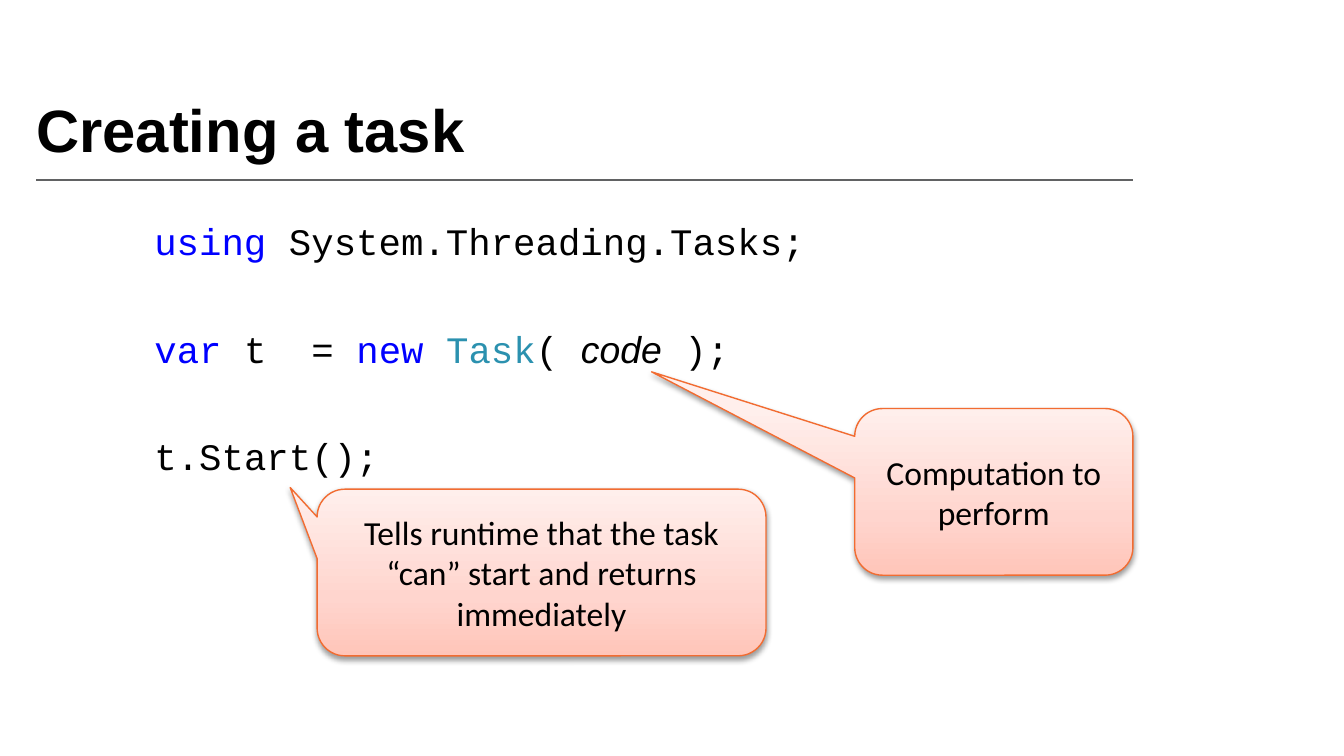
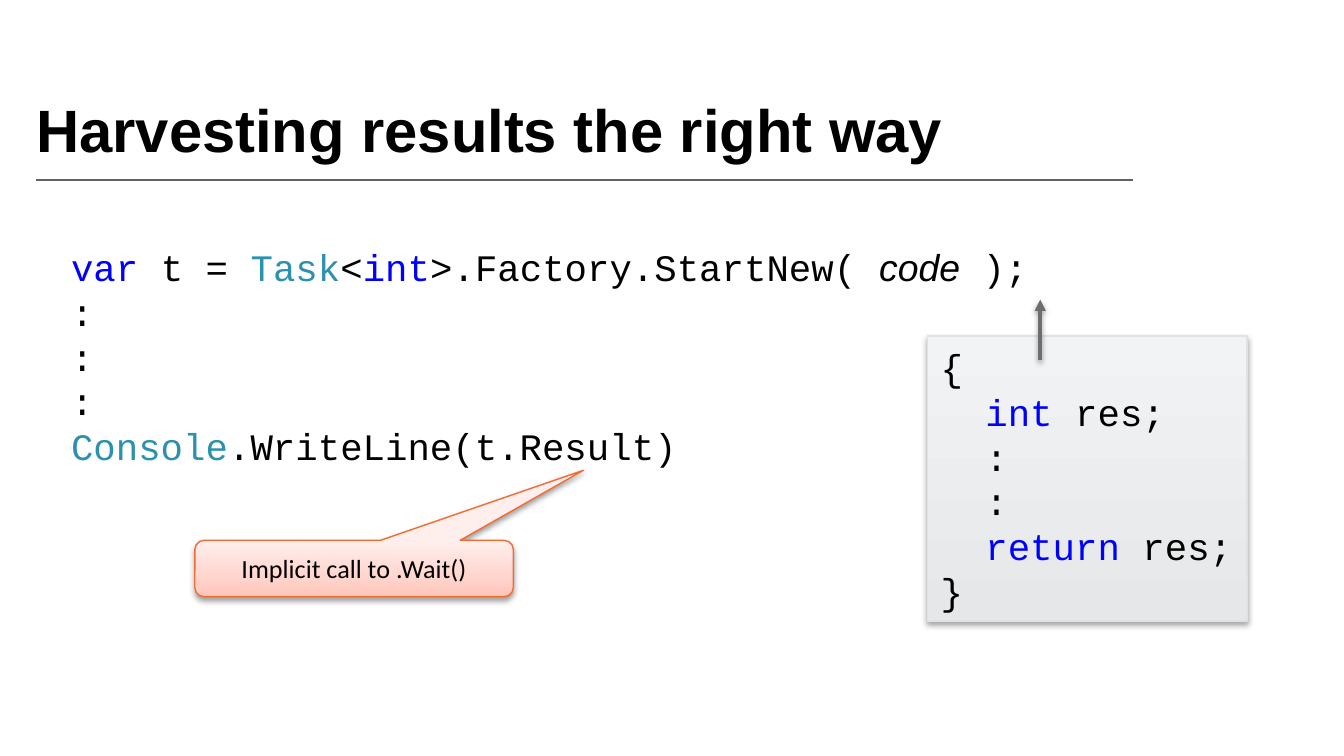
from lxml import etree
from pptx import Presentation
from pptx import util as u
from pptx.dml.color import RGBColor
from pptx.enum import shapes, text
from pptx.oxml import ns

COLORS = {
    "text": "000000", "keyword": "0000FF", "type": "2B91AF", "paper": "FFFFFF",
    "rule": "616263", "arrow": "6D6E71", "callout edge": "F26C31", "body edge": "E1E2E3",
}
CALLOUT_STOPS = [(0, "FFC5B9"), (35, "FFD5CE"), (100, "FFEFEC")]
BODY_STOPS = [(0, "E6E7E8"), (100, "F2F3F5")]
RGB = {name: RGBColor.from_string(value) for name, value in COLORS.items()}

# Run styles: font, colour, italic
STYLES = {
    "plain": ("Courier New", "text", False),
    "keyword": ("Courier New", "keyword", False),
    "type": ("Courier New", "type", False),
    "param": ("Arial", "text", True),
    "note": ("Calibri", "text", False),
}

deck = Presentation()
deck.slide_width, deck.slide_height = u.Inches(10), u.Inches(5.625)
CELL = deck.slide_width / 100  # the slide is a grid of 100 columns of square cells


def write(shape, lines, size, align=text.PP_ALIGN.LEFT):
    """Fill a shape with lines, each an indent in characters and its runs."""
    frame = shape.text_frame
    frame.word_wrap = True
    frame.vertical_anchor = text.MSO_ANCHOR.MIDDLE
    for number, (indent, *runs) in enumerate(lines):
        paragraph = frame.paragraphs[0] if number == 0 else frame.add_paragraph()
        paragraph.alignment = align
        if indent:
            paragraph._p.get_or_add_pPr().set("marL", str(u.Pt(indent * size * 0.6)))
        for words, style in runs:
            run = paragraph.add_run()
            run.text = words
            font_name, color, italic = STYLES[style]
            run.font.name, run.font.size = font_name, u.Pt(size)
            run.font.italic = italic
            run.font.color.rgb = RGB[color]


def finish(shape, edge, width, opacity=0, distance=1.6, stops=()):
    """Set the outline, the soft shadow below and the upward gradient."""
    shape.line.color.rgb, shape.line.width = RGB[edge], u.Pt(width)
    if stops:
        shape.fill.gradient()
        shape.fill.gradient_angle = 90
        stop_list = shape._element.spPr.find(".//" + ns.qn("a:gsLst"))
        for old_stop in list(stop_list):
            stop_list.remove(old_stop)
        for position, color in stops:
            stop = etree.SubElement(stop_list, ns.qn("a:gs"), pos=str(position * 1000))
            etree.SubElement(stop, ns.qn("a:srgbClr"), val=color)
    effects = etree.SubElement(shape._element.spPr, ns.qn("a:effectLst"))
    if opacity:
        shadow = etree.SubElement(
            effects, ns.qn("a:outerShdw"), blurRad=str(u.Pt(3.1)), dist=str(u.Pt(distance)),
            dir="5400000", rotWithShape="0")
        black = etree.SubElement(shadow, ns.qn("a:srgbClr"), val=COLORS["text"])
        etree.SubElement(black, ns.qn("a:alpha"), val=str(opacity * 1000))


# Content: areas are left, top, width, height in grid cells
LESSONS = [
    {
        "title": "Creating a task", "title width": 81.7,
        "code": [
            ((10.5, 15.7, 67.6, 4.4),
             [(0, ("using ", "keyword"), ("System.Threading.Tasks;", "plain"))]),
            ((10.5, 23.7, 69.5, 4.4),
             [(0, ("var", "keyword"), (" t  = ", "plain"), ("new ", "keyword"),
               ("Task", "type"), ("( ", "plain"), ("code", "param"), (" );", "plain"))]),
            ((10.5, 31.7, 69.5, 4.4), [(0, ("t.Start();", "plain"))]),
        ],
        "callouts": [
            ((63.6, 30.4, 20.7, 12.4), (-1.23, -0.72), 18, "Computation to perform"),
            ((23.6, 36.4, 33.4, 12.4), (-0.56, -0.51), 18,
             "Tells runtime that the task “can” start and returns immediately"),
        ],
    },
    {
        "title": "Harvesting results the right way", "title width": 91,
        "code": [
            ((4.3, 17.6, 88.5, 17.8),
             [(0, ("var", "keyword"), (" t = ", "plain"), ("Task", "type"), ("<", "plain"),
               ("int", "keyword"), (">.Factory.StartNew( ", "plain"), ("code", "param"),
               (" );", "plain")),
              *[(0, (":", "plain"))] * 3,
              (0, ("Console", "type"), (".WriteLine(t.Result)", "plain"))]),
        ],
        "task body": ((69, 25, 23.8, 21.2),
                      [(0, ("{", "plain")),
                       (2, ("int", "keyword"), (" res;", "plain")),
                       *[(2, (":", "plain"))] * 2,
                       (2, ("return", "keyword"), (" res;", "plain")),
                       (0, ("}", "plain"))]),
        "body arrow": (77.4, 26.8, 77.4, 22.3),
        "callouts": [((14.5, 40.2, 23.7, 4.2), (0.72, -1.74), 14, "Implicit call to .Wait()")],
    },
]

for lesson in LESSONS:
    slide = deck.slides.add_slide(deck.slide_layouts[5])
    canvas = slide.shapes

    # Title and the rule under it
    title = canvas.title
    title.left, title.top, title.width, title.height = [
        round(CELL * n) for n in (2.7, 6.4, lesson["title width"], 6.4)]
    heading = title.text_frame
    heading.margin_left = heading.margin_top = heading.margin_right = heading.margin_bottom = 0
    heading.auto_size = text.MSO_AUTO_SIZE.NONE
    heading.vertical_anchor = text.MSO_ANCHOR.MIDDLE
    heading.paragraphs[0].alignment = text.PP_ALIGN.LEFT
    heading_run = heading.paragraphs[0].add_run()
    heading_run.text = lesson["title"]
    heading_run.font.name, heading_run.font.size = "Arial", u.Pt(32)
    heading_run.font.bold = True
    heading_run.font.color.rgb = RGB["text"]
    rule = canvas.add_connector(
        shapes.MSO_CONNECTOR.STRAIGHT, *[round(CELL * n) for n in (2.7, 13.4, 84.3, 13.4)])
    finish(rule, "rule", 1)

    # Code
    for area, lines in lesson["code"]:
        code = canvas.add_shape(shapes.MSO_SHAPE.RECTANGLE, *[round(CELL * n) for n in area])
        code.shadow.inherit = False
        code.fill.solid()
        code.fill.fore_color.rgb = RGB["paper"]
        code.line.fill.background()
        write(code, lines, 20)
        code.text_frame.auto_size = text.MSO_AUTO_SIZE.SHAPE_TO_FIT_TEXT

    # Body of the task, with an arrow to where it is passed
    if "task body" in lesson:
        area, lines = lesson["task body"]
        body = canvas.add_shape(shapes.MSO_SHAPE.RECTANGLE, *[round(CELL * n) for n in area])
        finish(body, "body edge", 0.75, opacity=35, distance=1.8, stops=BODY_STOPS)
        write(body, lines, 20)
        body.text_frame.margin_right = 0
        body.text_frame.auto_size = text.MSO_AUTO_SIZE.SHAPE_TO_FIT_TEXT
        arrow = canvas.add_connector(
            shapes.MSO_CONNECTOR.STRAIGHT, *[round(CELL * n) for n in lesson["body arrow"]])
        finish(arrow, "arrow", 2, opacity=38)
        etree.SubElement(arrow.line._get_or_add_ln(), ns.qn("a:tailEnd"), type="triangle")

    # Callouts
    for area, tip, size, words in lesson["callouts"]:
        callout = canvas.add_shape(
            shapes.MSO_SHAPE.ROUNDED_RECTANGULAR_CALLOUT, *[round(CELL * n) for n in area])
        callout.adjustments[0], callout.adjustments[1] = tip
        finish(callout, "callout edge", 0.75, opacity=38, stops=CALLOUT_STOPS)
        write(callout, [(0, (words, "note"))], size, text.PP_ALIGN.CENTER)

deck.save("out.pptx")
